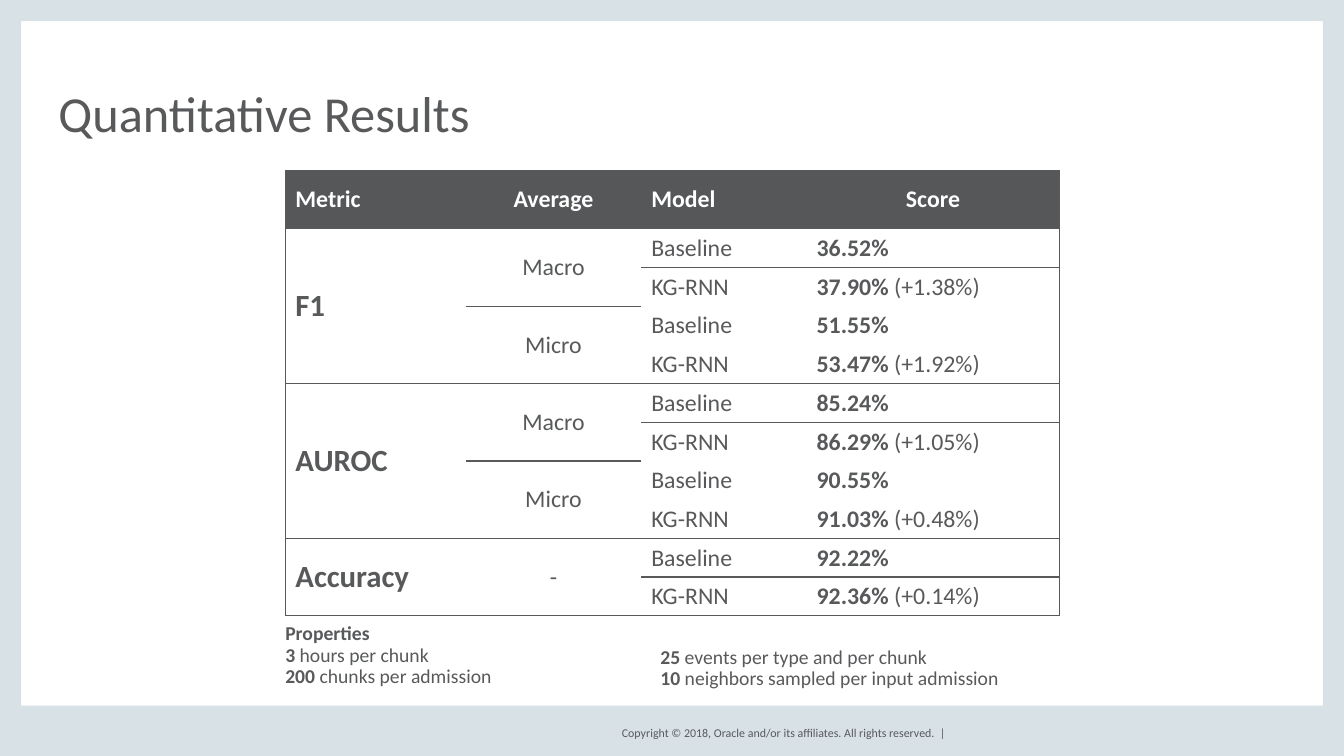
from dataclasses import dataclass

from lxml.etree import SubElement
from pptx import Presentation
from pptx.dml.color import RGBColor
from pptx.enum.shapes import MSO_SHAPE
from pptx.enum.text import MSO_ANCHOR, PP_ALIGN
from pptx.oxml.ns import qn
from pptx.util import Inches, Pt


@dataclass(frozen=True)
class Theme:
    font: str = "Calibri"
    ink: str = "58595B"
    header: str = "565759"
    frame: str = "D8E1E6"
    white: str = "FFFFFF"
    title_size: float = 36
    metric_size: float = 22
    table_size: float = 17
    note_size: float = 14
    footer_size: float = 8.5


THEME = Theme()
SLIDE_W, SLIDE_H = 13.33, 7.5

HEADINGS = ["Metric", "Average", "Model", "Score"]
MODELS = ["Baseline", "KG-RNN"]
# Metric -> averages, each with (score, gain) for every model
RESULTS = {
    "F1": {
        "Macro": [("36.52%", ""), ("37.90%", " (+1.38%)")],
        "Micro": [("51.55%", ""), ("53.47%", " (+1.92%)")],
    },
    "AUROC": {
        "Macro": [("85.24%", ""), ("86.29%", " (+1.05%)")],
        "Micro": [("90.55%", ""), ("91.03%", " (+0.48%)")],
    },
    "Accuracy": {"-": [("92.22%", ""), ("92.36%", " (+0.14%)")]},
}
COLUMN_WIDTHS = [1.79, 1.74, 1.64, 2.51]
HEADER_HEIGHT = 0.58


def write(paragraph, parts, size, color=THEME.ink, align=PP_ALIGN.LEFT, spacing=None):
    """Fill a paragraph with (text, bold) parts."""
    paragraph.alignment = align
    if spacing:
        paragraph.line_spacing = spacing
    for text, bold in parts:
        run = paragraph.add_run()
        run.text = text
        run.font.name = THEME.font
        run.font.size = Pt(size)
        run.font.bold = bold
        run.font.color.rgb = RGBColor.from_string(color)


def add_text_area(slide, box, anchor=MSO_ANCHOR.TOP, wrap=False):
    frame = slide.shapes.add_textbox(*map(Inches, box)).text_frame
    frame.margin_left = frame.margin_right = frame.margin_top = frame.margin_bottom = 0
    frame.vertical_anchor = anchor
    frame.word_wrap = wrap
    return frame


def add_slide_frame(slide, box):
    left, top, width, height = box
    side, bottom = 0.21, 0.5
    bands = [
        (left, top, side, height),
        (left + width - side, top, side, height),
        (left, top + height - bottom, width, bottom),
        (left, top, width, side),
    ]
    for band_box in bands:
        band = slide.shapes.add_shape(MSO_SHAPE.RECTANGLE, *map(Inches, band_box))
        band.shadow.inherit = False
        band.fill.solid()
        band.fill.fore_color.rgb = RGBColor.from_string(THEME.frame)
        band.line.fill.background()


def add_footer(slide, box):
    frame = add_text_area(slide, box, MSO_ANCHOR.MIDDLE)
    copyright_line = "Copyright © 2018, Oracle and/or its affiliates. All rights reserved.  |"
    write(frame.paragraphs[0], [(copyright_line, False)], THEME.footer_size, align=PP_ALIGN.RIGHT)


def add_title(slide, box):
    frame = add_text_area(slide, box, MSO_ANCHOR.BOTTOM, wrap=True)
    write(frame.paragraphs[0], [("Quantitative Results", False)], THEME.title_size, spacing=0.8)


def set_borders(cell, widths):
    """Set the width of each side in points; 0 hides it."""
    properties = cell._tc.get_or_add_tcPr()
    for position, (side, width) in enumerate(widths.items()):
        line = SubElement(properties, qn(f"a:{side}"), w=str(Pt(width)))
        if width:
            fill = SubElement(line, qn("a:solidFill"))
            SubElement(fill, qn("a:srgbClr"), val=THEME.ink)
        else:
            SubElement(line, qn("a:noFill"))
        properties.insert(position, line)


def add_results_table(slide, box):
    row_count = 1 + sum(len(MODELS) * len(averages) for averages in RESULTS.values())
    last_column = len(HEADINGS) - 1
    table = slide.shapes.add_table(row_count, len(HEADINGS), *map(Inches, box)).table
    table.first_row = table.horz_banding = False
    for column, width in zip(table.columns, COLUMN_WIDTHS):
        column.width = Inches(width)
    body_height = (box[3] - HEADER_HEIGHT) / (row_count - 1)
    for index, row in enumerate(table.rows):
        row.height = Inches(body_height if index else HEADER_HEIGHT)

    def fill_cell(row, column, parts, size=THEME.table_size, color=THEME.ink, align=PP_ALIGN.LEFT):
        cell = table.cell(row, column)
        cell.vertical_anchor = MSO_ANCHOR.MIDDLE
        write(cell.text_frame.paragraphs[0], parts, size, color, align)

    # Header
    for column, heading in enumerate(HEADINGS):
        align = PP_ALIGN.CENTER if heading in ("Average", "Score") else PP_ALIGN.LEFT
        fill_cell(0, column, [(heading, True)], color=THEME.white, align=align)

    # Body: rules holds every (row, column) with a line below it
    rules = {(0, column) for column in range(len(HEADINGS))}
    row = 1
    for metric, averages in RESULTS.items():
        metric_top = row
        fill_cell(row, 0, [(metric, True)], THEME.metric_size)
        rules |= {(row, 2), (row, 3)}
        for average, scores in averages.items():
            fill_cell(row, 1, [(average, False)], align=PP_ALIGN.CENTER)
            table.cell(row, 1).merge(table.cell(row + len(scores) - 1, 1))
            for model, (score, gain) in zip(MODELS, scores):
                fill_cell(row, 2, [(model, False)])
                fill_cell(row, 3, [(score, True), (gain, False)] if gain else [(score, True)])
                row += 1
            rules.add((row - 1, 1))
        table.cell(metric_top, 0).merge(table.cell(row - 1, 0))
        rules |= {(row - 1, column) for column in range(len(HEADINGS))}

    # Fills and borders
    for row in range(row_count):
        for column in range(len(HEADINGS)):
            cell = table.cell(row, column)
            cell.fill.solid()
            cell.fill.fore_color.rgb = RGBColor.from_string(THEME.white if row else THEME.header)
            bottom_row = row + cell.span_height - 1 if cell.is_merge_origin else row
            set_borders(cell, {
                "lnL": 0.75 if column == 0 else 0,
                "lnR": 0.75 if column == last_column else 0,
                "lnT": 1 if row == 0 or (row - 1, column) in rules else 0,
                "lnB": 1 if (bottom_row, column) in rules else 0,
            })


def add_properties(slide, box, lines):
    frame = add_text_area(slide, box)
    for index, parts in enumerate(lines):
        paragraph = frame.add_paragraph() if index else frame.paragraphs[0]
        write(paragraph, parts, THEME.note_size, spacing=0.9)


def main():
    presentation = Presentation()
    presentation.slide_width = Inches(SLIDE_W)
    presentation.slide_height = Inches(SLIDE_H)
    slide = presentation.slides.add_slide(presentation.slide_layouts[6])

    add_slide_frame(slide, (0, 0, SLIDE_W, SLIDE_H))
    add_footer(slide, (5.88, 7.17, 3.5, 0.2))
    add_title(slide, (0.58, 0.44, 12.17, 0.97))
    add_results_table(slide, (2.83, 1.69, sum(COLUMN_WIDTHS), 4.34))
    add_properties(slide, (2.83, 6.19, 3.73, 0.65), [
        [("Properties", True)],
        [("3", True), (" hours per chunk", False)],
        [("200", True), (" chunks per admission", False)],
    ])
    add_properties(slide, (6.55, 6.42, 3.95, 0.46), [
        [("25", True), (" events per type and per chunk", False)],
        [("10", True), (" neighbors sampled per input admission", False)],
    ])
    presentation.save("out.pptx")


if __name__ == "__main__":
    main()
